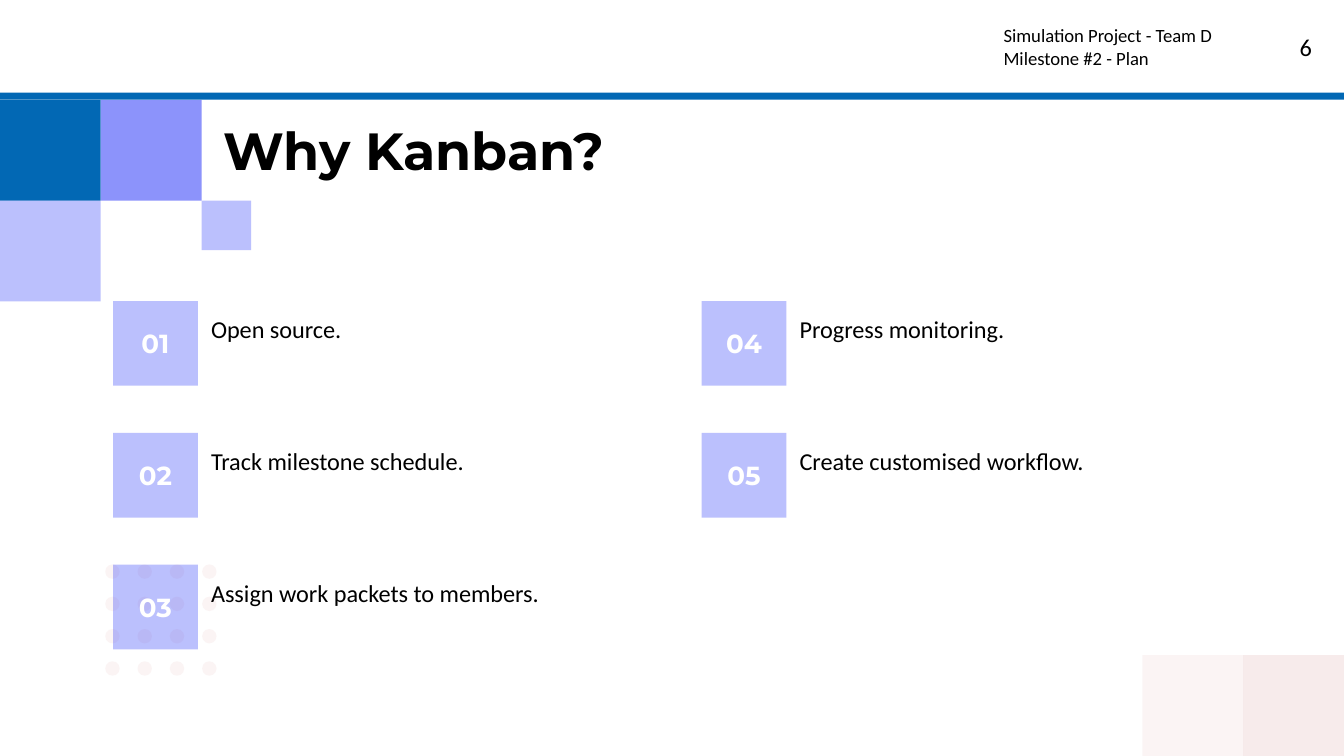
from dataclasses import dataclass

from lxml import etree
from pptx import Presentation
from pptx.dml.color import RGBColor
from pptx.enum.shapes import MSO_SHAPE
from pptx.enum.text import MSO_ANCHOR, MSO_AUTO_SIZE, PP_ALIGN
from pptx.oxml.ns import qn
from pptx.util import Pt

RECT, OVAL = MSO_SHAPE.RECTANGLE, MSO_SHAPE.OVAL
TOP, MIDDLE = MSO_ANCHOR.TOP, MSO_ANCHOR.MIDDLE
LEFT, CENTER, RIGHT = PP_ALIGN.LEFT, PP_ALIGN.CENTER, PP_ALIGN.RIGHT
NO_FIT = MSO_AUTO_SIZE.NONE

BLUE, VIOLET, PINK, PALE_PINK = "0268B4", "2634F9", "F2DADA", "F7EBEB"
WHITE, BLACK = "FFFFFF", "000000"
WIDTH, HEIGHT = 720, 405
TILE = 54
HEADER_H, TILE_TOP = 49.7, 53.5
INSET = 7.2
CARD, CARD_TOP, CARD_STEP = 45.4, 161.3, 70.6
DOT, DOT_LEFT, DOT_TOP, DOT_STEP = 7.7, 56.4, 302.4, 17.3

TITLE_FONT = {"name": "Montserrat", "size": Pt(28), "bold": True}
NUMBER_FONT = {"name": "Montserrat", "size": Pt(14), "bold": True}
BODY_FONT = {"name": "Calibri", "size": Pt(13), "bold": False}
HEADER_FONT = {"name": "Calibri", "size": Pt(10), "bold": False}


@dataclass(frozen=True)
class Block:
    x: float
    y: float
    w: float
    h: float
    color: str
    alpha: int = 100
    kind: int = RECT


@dataclass(frozen=True)
class Column:
    x: float
    text_w: float
    first: int
    reasons: tuple[str, ...]


BLOCKS = [
    Block(0, TILE_TOP, TILE, TILE, BLUE),
    Block(TILE, TILE_TOP, TILE, TILE, VIOLET, 53),
    Block(0, TILE_TOP + TILE, TILE, TILE, VIOLET, 31),
    Block(2 * TILE, TILE_TOP + TILE, 26.6, 26.6, VIOLET, 31),
    Block(WIDTH - TILE, HEIGHT - TILE, TILE, TILE, PALE_PINK),
    Block(WIDTH - 2 * TILE, HEIGHT - TILE, TILE, TILE, PINK, 28),
    Block(0, 0, WIDTH, HEADER_H, WHITE),
    Block(0, HEADER_H, WIDTH, TILE_TOP - HEADER_H, BLUE),
]

COLUMNS = [
    Column(60.6, 255, 1, ("Open source.", "Track milestone schedule.",
                          "Assign work packets to members.")),
    Column(375.9, 263, 4, ("Progress monitoring.",
                           "Create customised workflow.")),
]


def rgb(color: str) -> RGBColor:
    return RGBColor.from_string(color)


def draw_block(shapes, b: Block):
    sp = shapes.add_shape(b.kind, Pt(b.x), Pt(b.y), Pt(b.w), Pt(b.h))
    sp.shadow.inherit = False
    sp.line.fill.background()
    sp.fill.solid()
    sp.fill.fore_color.rgb = rgb(b.color)
    if b.alpha < 100:
        clr = sp._element.spPr.find(f"{qn('a:solidFill')}/{qn('a:srgbClr')}")
        etree.SubElement(clr, qn("a:alpha"), val=str(b.alpha * 1000))
    return sp


def write(sp, lines: tuple[str, ...], font: dict, color: str = BLACK,
          align: int = LEFT, anchor: int = TOP, after: float = 0) -> None:
    tf = sp.text_frame
    frame = {"word_wrap": True, "auto_size": NO_FIT, "vertical_anchor": anchor}
    frame |= {f"margin_{side}": Pt(INSET)
              for side in ("left", "top", "right", "bottom")}
    for name, value in frame.items():
        setattr(tf, name, value)
    for i, line in enumerate(lines):
        p = tf.add_paragraph() if i else tf.paragraphs[0]
        p.alignment, p.space_after = align, Pt(after)
        r = p.add_run()
        r.text = line
        r.font.color.rgb = rgb(color)
        for name, value in font.items():
            setattr(r.font, name, value)


def add_text(s, x: float, y: float, w: float, h: float,
             lines: tuple[str, ...], font: dict, **fmt) -> None:
    sp = s.shapes.add_textbox(Pt(x), Pt(y), Pt(w), Pt(h))
    write(sp, lines, font, **fmt)


def draw_dots(s) -> None:
    group = s.shapes.add_group_shape()
    for row in range(4):
        for col in range(4):
            draw_block(group.shapes, Block(
                DOT_LEFT + col * DOT_STEP, DOT_TOP + row * DOT_STEP,
                DOT, DOT, PINK, 28, OVAL))


def draw_column(s, c: Column) -> None:
    for i, reason in enumerate(c.reasons):
        y = CARD_TOP + i * CARD_STEP
        sp = draw_block(s.shapes, Block(c.x, y, CARD, CARD, VIOLET, 31))
        write(sp, (f"{c.first + i:02}",), NUMBER_FONT, WHITE, CENTER, MIDDLE)
        add_text(s, c.x + CARD, y, c.text_w, CARD, (reason,), BODY_FONT, after=8)


def main() -> None:
    prs = Presentation()
    prs.slide_width, prs.slide_height = Pt(WIDTH), Pt(HEIGHT)
    s = prs.slides.add_slide(prs.slide_layouts[5])
    draw_dots(s)
    for b in BLOCKS:
        draw_block(s.shapes, b)

    title = s.shapes.title
    place = {"left": 112.3, "top": 56.2, "width": 547, "height": 45.4}
    for name, value in place.items():
        setattr(title, name, Pt(value))
    write(title, ("Why Kanban?",), TITLE_FONT)

    for c in COLUMNS:
        draw_column(s, c)
    add_text(s, 530.6, 5.8, 150, 37.4,
             ("Simulation Project - Team D", "Milestone #2 - Plan"), HEADER_FONT)
    add_text(s, 666.7, 10.1, 43.2, 31, ("6",), BODY_FONT, align=RIGHT)
    prs.save("out.pptx")


if __name__ == "__main__":
    main()
